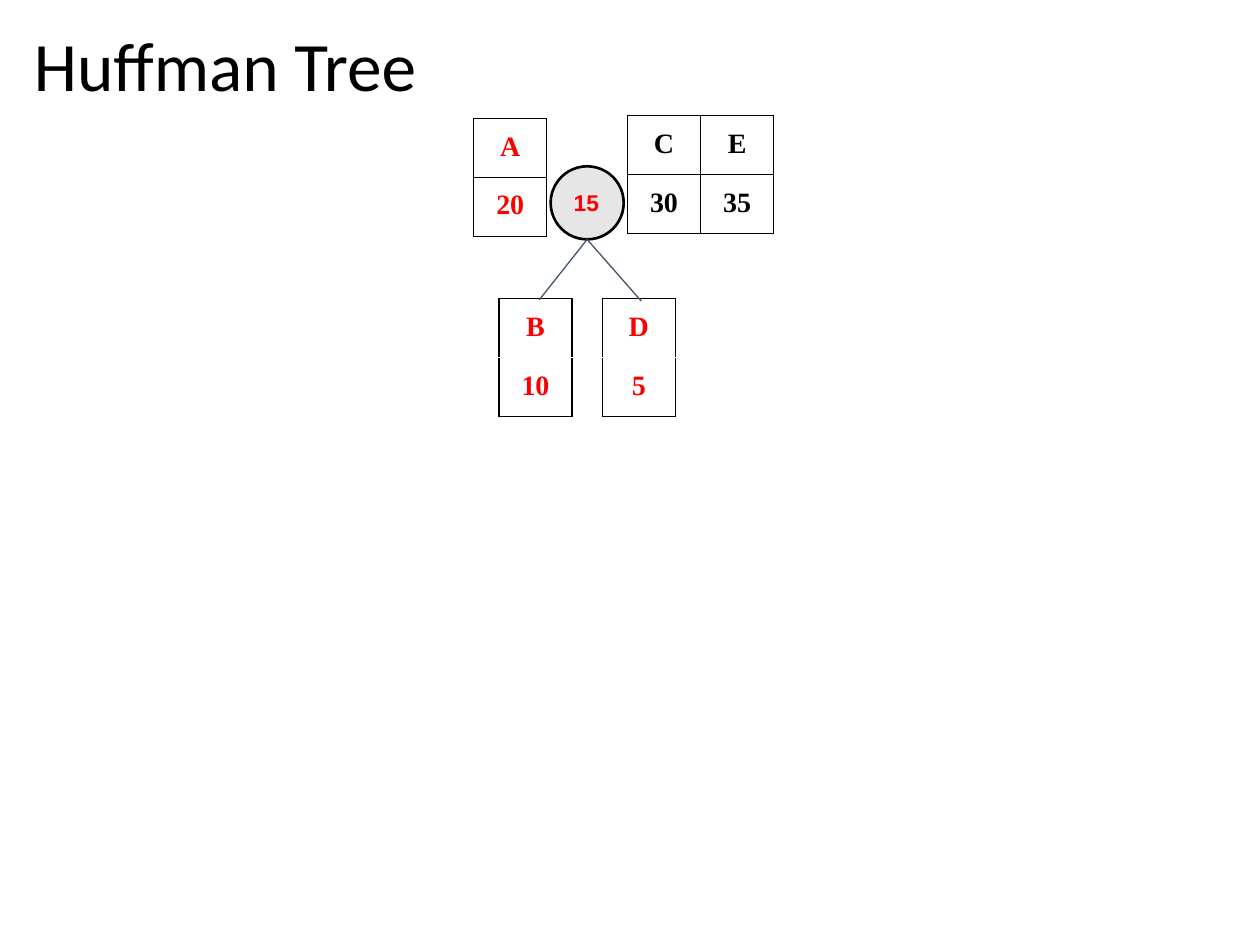
from lxml.etree import SubElement
from pptx import Presentation
from pptx.dml.color import RGBColor
from pptx.enum.shapes import MSO_CONNECTOR, MSO_SHAPE
from pptx.enum.text import MSO_ANCHOR, PP_ALIGN
from pptx.oxml.ns import qn
from pptx.util import Inches, Pt

BLACK = RGBColor(0x00, 0x00, 0x00)
WHITE = RGBColor(0xFF, 0xFF, 0xFF)
RED = RGBColor(0xFF, 0x00, 0x00)
GRAY = RGBColor(0xE7, 0xE6, 0xE6)
SLATE = RGBColor(0x44, 0x54, 0x6A)

SIDE = 0.58  # width of a leaf and of a node
ROW = 0.42
PAD = Inches(0.1)


def style_run(para, font, size, color, bold=False):
    face = para.runs[0].font
    face.name, face.size, face.bold = font, Pt(size), bold
    face.color.rgb = color


def set_border(cell, top, bottom):
    props = cell._tc.get_or_add_tcPr()
    sides = (("L", BLACK), ("R", BLACK), ("T", top), ("B", bottom))
    for side, color in sides:
        line = SubElement(props, qn(f"a:ln{side}"), w=str(Pt(0.75)))
        fill = SubElement(line, qn("a:solidFill"))
        SubElement(fill, qn("a:srgbClr"), val=str(color))


def add_title(slide, left, top, width, height, text):
    box = slide.shapes.add_textbox(
        Inches(left), Inches(top), Inches(width), Inches(height))
    frame = box.text_frame
    frame.word_wrap = True
    frame.vertical_anchor = MSO_ANCHOR.MIDDLE
    frame.text = text
    para = frame.paragraphs[0]
    para.line_spacing = 0.9
    style_run(para, "Calibri", 39.6, BLACK)


def add_leaf(slide, left, top, symbol, count, color, split=BLACK):
    """Table of a symbol above its count; split colours the line between."""
    table = slide.shapes.add_table(
        2, 1, Inches(left), Inches(top), Inches(SIDE), Inches(2 * ROW)).table
    table.first_row = table.horz_banding = False
    edges = (BLACK, split, BLACK)
    for row, text in enumerate((symbol, count)):
        cell = table.cell(row, 0)
        set_border(cell, edges[row], edges[row + 1])
        cell.fill.background()
        cell.margin_left = cell.margin_right = PAD
        cell.margin_top = cell.margin_bottom = PAD
        cell.text_frame.text = text
        para = cell.text_frame.paragraphs[0]
        para.alignment = PP_ALIGN.CENTER
        style_run(para, "Times New Roman", 16, color, True)


def add_node(slide, left, top, count):
    node = slide.shapes.add_shape(
        MSO_SHAPE.OVAL, Inches(left), Inches(top), Inches(SIDE), Inches(SIDE))
    node.shadow.inherit = False
    node.fill.solid()
    node.fill.fore_color.rgb = GRAY
    node.line.color.rgb = BLACK
    node.line.width = Pt(1.5)
    frame = node.text_frame
    frame.margin_left = frame.margin_right = PAD
    frame.margin_top = frame.margin_bottom = PAD
    frame.vertical_anchor = MSO_ANCHOR.MIDDLE
    frame.text = count
    para = frame.paragraphs[0]
    para.alignment = PP_ALIGN.LEFT
    style_run(para, "Arial", 13, RED, True)


def add_branch(slide, start, end):
    branch = slide.shapes.add_connector(
        MSO_CONNECTOR.STRAIGHT, *map(Inches, start + end))
    branch.line.color.rgb = SLATE
    branch.line.width = Pt(0.75)
    SubElement(branch._element.spPr, qn("a:effectLst"))


def add_tree(slide, left, top):
    """Node 15 with its children B and D, placed from the node's corner."""
    for shift, symbol, count in ((-0.41, "B", "10"), (0.41, "D", "5")):
        add_leaf(slide, left + shift, top + 1.05, symbol, count, RED, WHITE)
    add_node(slide, left, top, "15")
    foot = (left + SIDE / 2, top + SIDE)
    for end in ((left - 0.09, top + 1.06), (left + 0.72, top + 1.07)):
        add_branch(slide, foot, end)


def add_queue(slide, left, top):
    """Symbols still waiting to be merged, side by side."""
    for col, (symbol, count) in enumerate((("C", "30"), ("E", "35"))):
        add_leaf(slide, left + col * SIDE, top, symbol, count, BLACK)


def main():
    deck = Presentation()
    deck.slide_width, deck.slide_height = Inches(10), Inches(7.5)
    slide = deck.slides.add_slide(deck.slide_layouts[6])
    add_title(slide, 0.17, 0.18, 9.62, 0.74, "Huffman Tree")
    add_leaf(slide, 3.76, 0.94, "A", "20", RED)
    add_queue(slide, 4.98, 0.92)
    add_tree(slide, 4.37, 1.32)
    deck.save("out.pptx")


if __name__ == "__main__":
    main()
